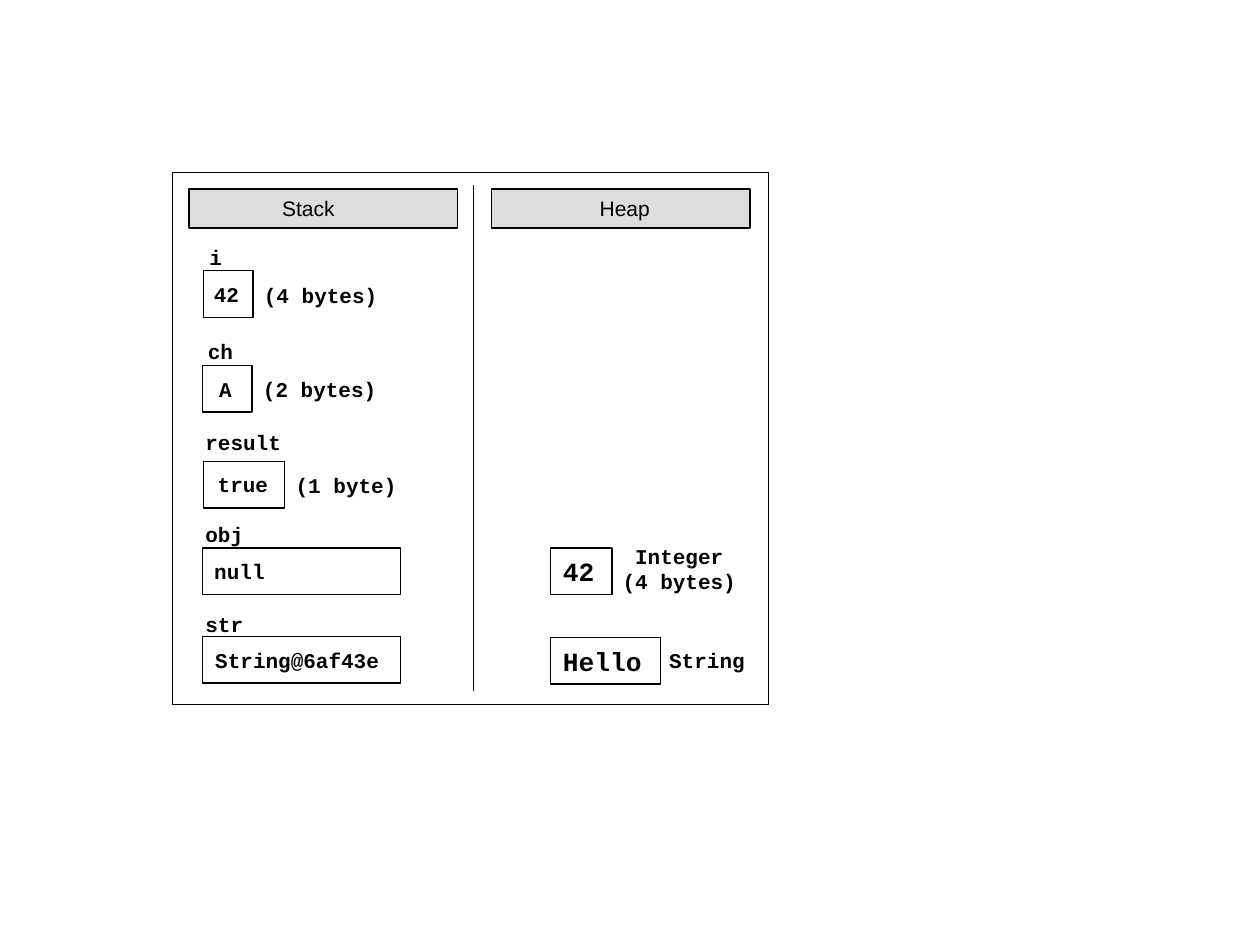
from pptx import Presentation
from pptx import util as u
from pptx.dml.color import RGBColor
from pptx.enum import shapes, text
from pptx.oxml.ns import qn

BLACK = RGBColor(0x00, 0x00, 0x00)
HEADER_GRAY = RGBColor(0xDD, 0xDD, 0xDD)
CODE_FONT = "Courier New"
BOX_HEIGHT = 0.94
LINE_HEIGHT = 0.51
CHAR_WIDTH = 0.254  # one 12 pt Courier character
BOX_TO_NOTE = 0.22
NOTE_DROP = 0.23

prs = Presentation()
prs.slide_width, prs.slide_height = u.Cm(25.4), u.Cm(19.05)
slide = prs.slides.add_slide(prs.slide_layouts[6])


def add_box(left, top, width, height, words="", inset=0.0, size=12,
            font=CODE_FONT, fill=None, line_width=0.75):
    """Outlined rectangle whose text starts at the given left inset."""
    box = slide.shapes.add_shape(
        shapes.MSO_SHAPE.RECTANGLE, u.Cm(left), u.Cm(top), u.Cm(width), u.Cm(height))
    box.shadow.inherit = False
    if fill is None:
        box.fill.background()
    else:
        box.fill.solid()
        box.fill.fore_color.rgb = fill
    box.line.color.rgb = BLACK
    box.line.width = u.Pt(line_width)
    if words:
        write(box.text_frame, [words], text.PP_ALIGN.LEFT, inset, size, font)
    return box


def write(frame, lines, align=text.PP_ALIGN.LEFT, inset=0.0, size=12, font=CODE_FONT):
    frame.word_wrap = False
    frame.vertical_anchor = text.MSO_ANCHOR.MIDDLE
    frame.margin_left = u.Cm(inset)
    frame.margin_top = frame.margin_right = frame.margin_bottom = 0
    for index, line in enumerate(lines):
        paragraph = frame.add_paragraph() if index else frame.paragraphs[0]
        paragraph.alignment = align
        run = paragraph.add_run()
        run.text = line
        run.font.name = font
        run.font.size = u.Pt(size)
        run.font.bold = font == CODE_FONT
        run.font.color.rgb = BLACK


# Memory frame and the divider between stack and heap
divider = slide.shapes.add_connector(
    shapes.MSO_CONNECTOR.STRAIGHT, u.Cm(9.55), u.Cm(3.73), u.Cm(9.55), u.Cm(13.92))
divider.line.color.rgb = BLACK
divider.line.width = u.Pt(0.75)
divider._element.spPr.append(divider._element.makeelement(qn("a:effectLst"), {}))
add_box(3.48, 3.48, 12.01, 10.72, line_width=0.5)

for heading, left, width, inset in (("Stack", 3.81, 5.41, 1.88), ("Heap", 9.91, 5.21, 2.18)):
    add_box(left, 3.81, width, 0.79, heading, inset, font="Arial", fill=HEADER_GRAY)

captions = []  # (lines, left, top)

# Stack: name, name left, name top, value, inset, box left, box top, box width, size note
variables = (
    ("i", 4.22, 4.93, "42", 0.2, 4.11, 5.46, 0.99, "(4 bytes)"),
    ("ch", 4.19, 6.83, "A", 0.33, 4.09, 7.37, 0.99, "(2 bytes)"),
    ("result", 4.14, 8.66, "true", 0.28, 4.11, 9.3, 1.63, "(1 byte)"),
    ("obj", 4.14, 10.52, "null", 0.23, 4.09, 11.05, 3.99, ""),
    ("str", 4.14, 12.32, "String@6af43e", 0.25, 4.09, 12.83, 3.99, ""),
)
for name, name_left, name_top, value, inset, left, top, width, note in variables:
    add_box(left, top, width, BOX_HEIGHT, value, inset)
    captions.append(([name], name_left, name_top))
    if note:
        captions.append(([note], left + width + BOX_TO_NOTE, top + NOTE_DROP))

# Heap objects with their types
for value, top, width in (("42", 11.05, 1.24), ("Hello", 12.85, 2.21)):
    add_box(11.1, top, width, BOX_HEIGHT, value, 0.25, size=15)
captions.append((["Integer", "(4 bytes)"], 12.55, 10.95))
captions.append((["String"], 13.49, 13.06))

for lines, left, top in captions:
    caption = slide.shapes.add_textbox(
        u.Cm(left), u.Cm(top),
        u.Cm(CHAR_WIDTH * max(map(len, lines))), u.Cm(LINE_HEIGHT * len(lines)))
    align = text.PP_ALIGN.CENTER if left > 12 else text.PP_ALIGN.LEFT
    write(caption.text_frame, lines, align)

prs.save("out.pptx")
